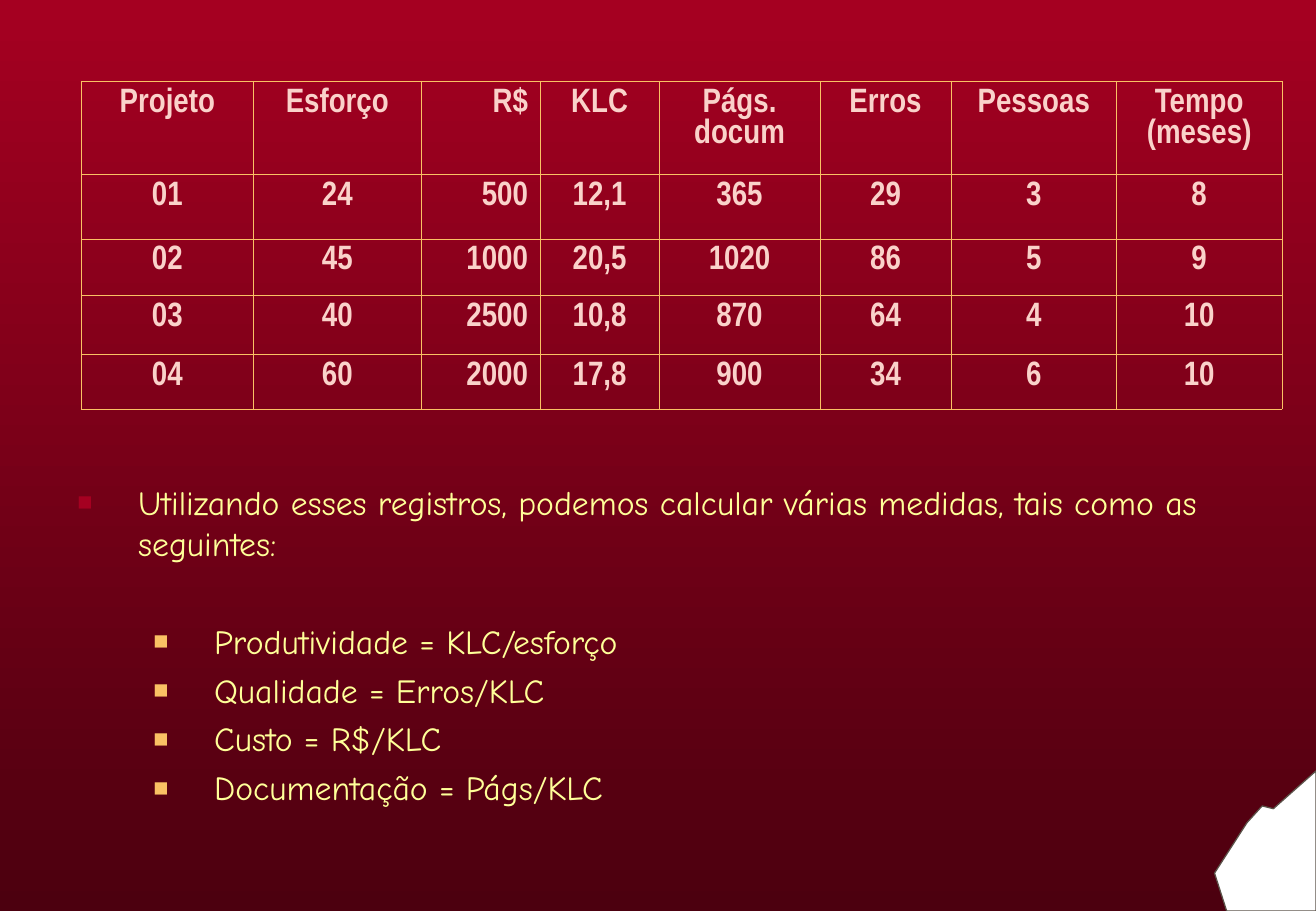
from lxml.etree import SubElement
from pptx import Presentation
from pptx.dml.color import RGBColor
from pptx.enum.text import PP_ALIGN
from pptx.oxml import parse_xml
from pptx.oxml.ns import qn
from pptx.util import Pt

SLIDE_W, SLIDE_H = 780.48, 540
NS = 'xmlns:a="http://schemas.openxmlformats.org/drawingml/2006/main"'
HEADERS = ["Projeto", "Esforço", "R$", "KLC", "Págs. docum", "Erros", "Pessoas", "Tempo (meses)"]
PROJECTS = [
    ["01", "24", "500", "12,1", "365", "29", "3", "8"],
    ["02", "45", "1000", "20,5", "1020", "86", "5", "9"],
    ["03", "40", "2500", "10,8", "870", "64", "4", "10"],
    ["04", "60", "2000", "17,8", "900", "34", "6", "10"],
]
COL_WIDTHS = [102.2, 99.4, 70.6, 70.6, 95.4, 77.8, 98.1, 98.1]
ROW_HEIGHTS = [55.4, 38.2, 33.6, 34.8, 32.4]
INTRO = "Utilizando esses registros, podemos calcular várias medidas, tais como as seguintes:"
MEASURES = [
    "Produtividade = KLC/esforço",
    "Qualidade = Erros/KLC",
    "Custo = R$/KLC",
    "Documentação = Págs/KLC",
]


def color(value):
    """Turn a hex string into a colour."""
    return RGBColor.from_string(value)


def format_font(r, name, hex_color, bold=False):
    """Give a run its 20 point font."""
    r.font.name = name
    r.font.size = Pt(20)
    r.font.bold = bold
    r.font.color.rgb = color(hex_color)


def paint_background(slide):
    """Fill the slide with a vertical red gradient."""
    fill = slide.background.fill
    fill.gradient()
    fill.gradient_angle = 270
    for stop, position, value in zip(fill.gradient_stops, (0, 1), ("A50021", "4C000F")):
        stop.position = position
        stop.color.rgb = color(value)


def add_corner(slide, left, top, width, height):
    """Draw the torn white corner inside its box."""
    outline = [(1, 0), (1, 1), (0.12, 1), (0, 0.73), (0.32, 0.37), (0.47, 0.25), (0.58, 0.27)]
    points = [(Pt(left + x * width), Pt(top + y * height)) for x, y in outline]
    builder = slide.shapes.build_freeform(*points[0], scale=1.0)
    builder.add_line_segments(points[1:], close=True)
    sp = builder.convert_to_shape()
    sp.shadow.inherit = False
    sp.fill.solid()
    sp.fill.fore_color.rgb = color("FFFFFF")
    sp.line.color.rgb = color("5B5249")
    sp.line.width = Pt(0.75)


def set_borders(cell, hex_color, width):
    """Draw the four borders of a table cell."""
    tcPr = cell._tc.get_or_add_tcPr()
    for i, side in enumerate(("lnL", "lnR", "lnT", "lnB")):
        tcPr.insert(i, parse_xml(
            f'<a:{side} {NS} w="{Pt(width)}"><a:solidFill>'
            f'<a:srgbClr val="{hex_color}"/></a:solidFill></a:{side}>'))


def add_projects_table(slide, left, top):
    """Place the table of project records."""
    rows = [HEADERS] + PROJECTS
    table = slide.shapes.add_table(
        len(rows), len(HEADERS), Pt(left), Pt(top),
        Pt(sum(COL_WIDTHS)), Pt(sum(ROW_HEIGHTS))).table
    table.first_row = False
    table.horz_banding = False
    for column, width in zip(table.columns, COL_WIDTHS):
        column.width = Pt(width)
    for i, (values, height) in enumerate(zip(rows, ROW_HEIGHTS)):
        table.rows[i].height = Pt(height)
        for j, value in enumerate(values):
            cell = table.cell(i, j)
            cell.fill.background()
            set_borders(cell, "FAC164", 0.45)
            p = cell.text_frame.paragraphs[0]
            p.text = value
            p.alignment = PP_ALIGN.RIGHT if HEADERS[j] == "R$" else PP_ALIGN.CENTER
            p.space_before = Pt(5)
            format_font(p.runs[0], "Arial Narrow", "FAD2CA", bold=True)


def set_bullet(p, margin, hex_color):
    """Give a paragraph a hanging square bullet."""
    pPr = p._p.get_or_add_pPr()
    pPr.set("marL", str(Pt(margin)))
    pPr.set("indent", str(Pt(-36)))
    buClr = SubElement(pPr, qn("a:buClr"))
    SubElement(buClr, qn("a:srgbClr"), val=hex_color)
    SubElement(pPr, qn("a:buSzPct"), val="75000")
    SubElement(pPr, qn("a:buFont"), typeface="Arial")
    SubElement(pPr, qn("a:buChar"), char="■")


def add_text_shadow(r):
    """Put a black shadow behind the letters of a run."""
    fill = r._r.get_or_add_rPr().find(qn("a:solidFill"))
    fill.addnext(parse_xml(
        f'<a:effectLst {NS}><a:outerShdw dist="25400" dir="2700000">'
        '<a:srgbClr val="000000"/></a:outerShdw></a:effectLst>'))


def add_measures(slide, left, top, width, height):
    """Place the introduction and the list of measures."""
    tf = slide.shapes.add_textbox(Pt(left), Pt(top), Pt(width), Pt(height)).text_frame
    tf.word_wrap = True
    for i, line in enumerate([INTRO] + MEASURES):
        p = tf.add_paragraph() if i else tf.paragraphs[0]
        p.text = line
        p.level = 1 if i else 0
        p.space_before = Pt(34 if i == 1 else 5)
        set_bullet(p, 81 if i else 36, "FAC164" if i else "A50021")
        format_font(p.runs[0], "Comic Neue", "FFFF99")
        add_text_shadow(p.runs[0])


def main():
    """Build the slide and save it."""
    prs = Presentation()
    prs.slide_width, prs.slide_height = Pt(SLIDE_W), Pt(SLIDE_H)
    slide = prs.slides.add_slide(prs.slide_layouts[6])
    paint_background(slide)
    add_corner(slide, 720.3, 457, SLIDE_W - 720.3, SLIDE_H - 457)
    add_measures(slide, 38.9, 282.2, 710.6, 234)
    add_projects_table(slide, 48.2, 48.2)
    prs.save("out.pptx")


if __name__ == "__main__":
    main()
